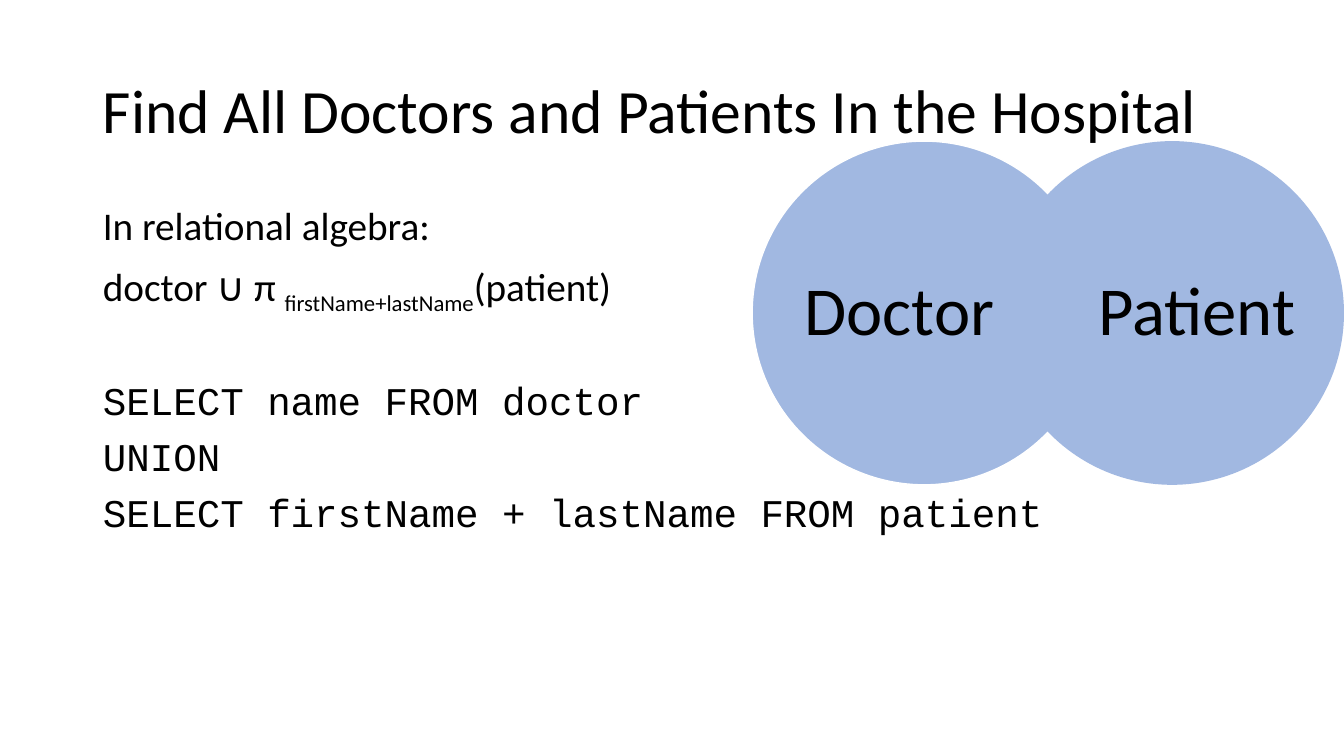
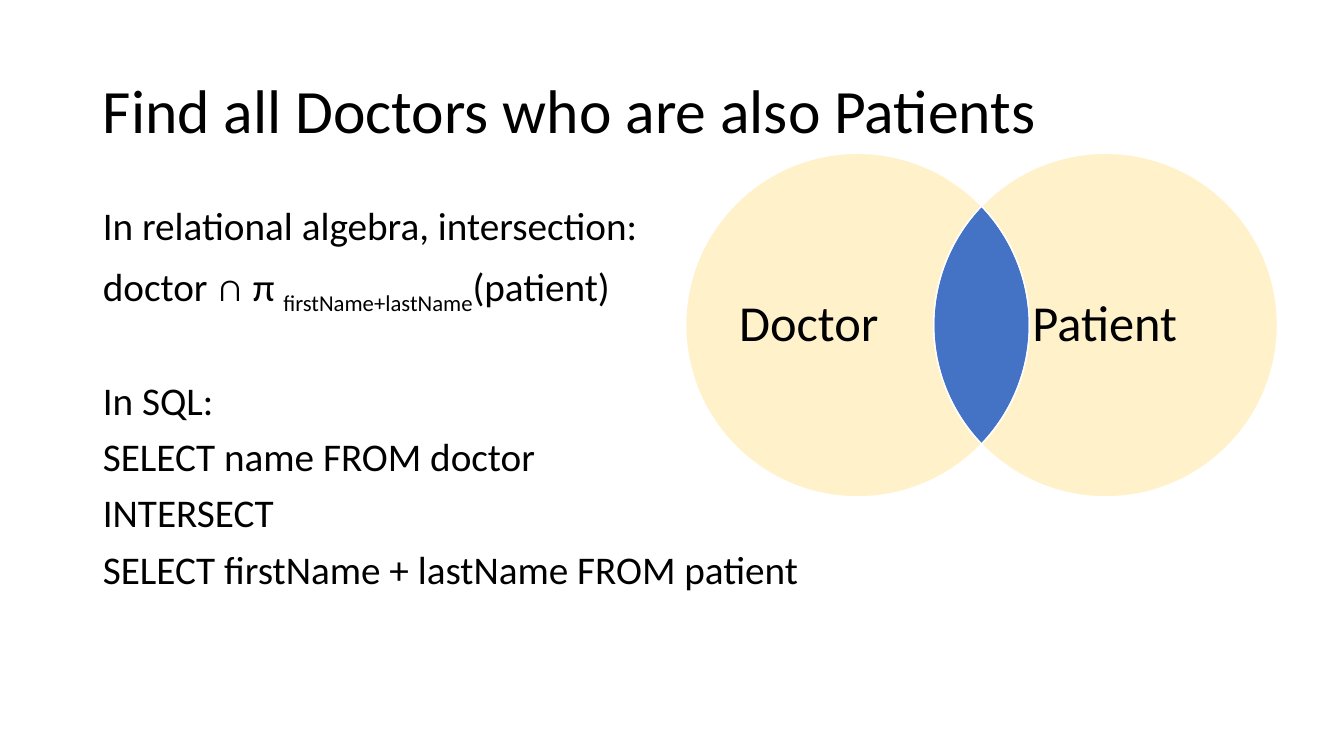
import math

from pptx import Presentation
from pptx.dml.color import RGBColor
from pptx.enum.shapes import MSO_SHAPE
from pptx.enum.text import MSO_ANCHOR, MSO_AUTO_SIZE, PP_ALIGN
from pptx.oxml.ns import qn
from pptx.util import Inches, Pt
from lxml import etree

OVAL = MSO_SHAPE.OVAL
MIDDLE, TOP = MSO_ANCHOR.MIDDLE, MSO_ANCHOR.TOP
LEFT, CENTER = PP_ALIGN.LEFT, PP_ALIGN.CENTER
NO_FIT = MSO_AUTO_SIZE.NONE

COLORS = {
    "text": "000000",
    "outline": "FFFFFF",
    "union": "4472C4",
    "union_front": "A1B8E1",
    "overlap": "4472C4",
    "crescent": "FFE699",
}
SANS, MONO = "Calibri", "Courier New"
LINE_SPACING, PARAGRAPH_GAP, SECTION_GAP = 0.9, 10, 50
TITLE_SIZE, BODY_SIZE = 44, 28
TITLE_BOX = (0.92, 0.4, 11.5, 1.45)
BODY_BOX = (0.92, 2, 11.5, 4.76)

RADIUS, CENTER_GAP = 1.705, 2.46
SETS = ("Doctor", "Patient")
LABEL_LEFT, LABEL_TOP, LABEL_RIGHT = 0.48, 0.4, 0.97

UNION = {
    "title": "Find All Doctors and Patients In the Hospital",
    "algebra": ("In relational algebra:", ("doctor ∪ π ", "firstName+lastName", "(patient)")),
    "query": ("SELECT name FROM doctor", "UNION", "SELECT firstName + lastName FROM patient"),
    "query_font": MONO,
}
INTERSECTION = {
    "title": "Find all Doctors who are also Patients",
    "algebra": (
        "In relational algebra, intersection:",
        ("doctor ∩ π ", "firstName+lastName", "(patient)"),
    ),
    "query": (
        "In SQL:",
        "SELECT name FROM doctor",
        "INTERSECT",
        "SELECT firstName + lastName FROM patient",
    ),
    "query_font": SANS,
}


def rgb(name):
    return RGBColor.from_string(COLORS[name])


def place(shape, box):
    shape.left, shape.top, shape.width, shape.height = map(Inches, box)


def format_paragraph(paragraph, size, align=LEFT, font=SANS, before=0):
    paragraph.alignment = align
    paragraph.line_spacing = LINE_SPACING
    paragraph.space_before = Pt(before)
    paragraph.font.name = font
    paragraph.font.size = Pt(size)
    paragraph.font.color.rgb = rgb("text")


def remove_bullet(paragraph):
    properties = paragraph._p.get_or_add_pPr()
    properties.set("marL", "0")
    properties.set("indent", "0")
    bullet = etree.Element(qn("a:buNone"))
    properties.find(qn("a:defRPr")).addprevious(bullet)


def add_formula(paragraph, parts):
    operands, subscript, relation = parts
    paragraph.add_run().text = operands
    projection = paragraph.add_run()
    projection.text = subscript
    projection._r.get_or_add_rPr().set("baseline", "-25000")
    paragraph.add_run().text = relation


def add_text_slide(prs, content):
    slide = prs.slides.add_slide(prs.slide_layouts[1])
    title, body = slide.shapes.title, slide.placeholders[1]
    for holder, box, anchor in ((title, TITLE_BOX, MIDDLE), (body, BODY_BOX, TOP)):
        place(holder, box)
        holder.text_frame.auto_size = NO_FIT
        holder.text_frame.vertical_anchor = anchor
    title.text_frame.text = content["title"]
    format_paragraph(title.text_frame.paragraphs[0], TITLE_SIZE)

    heading, formula = content["algebra"]
    frame = body.text_frame
    frame.text = heading
    add_formula(frame.add_paragraph(), formula)
    for statement in content["query"]:
        frame.add_paragraph().text = statement
    for index, paragraph in enumerate(frame.paragraphs):
        font = content["query_font"] if index > 1 else SANS
        before = SECTION_GAP if index == 2 else PARAGRAPH_GAP
        format_paragraph(paragraph, BODY_SIZE, font=font, before=before)
        remove_bullet(paragraph)
    return slide


def paint(shape, color, opacity=100, outlined=True):
    shape.shadow.inherit = False
    shape.fill.solid()
    shape.fill.fore_color.rgb = rgb(color)
    if opacity < 100:
        value = shape._element.spPr.find(qn("a:solidFill"))[0]
        etree.SubElement(value, qn("a:alpha"), val=str(opacity * 1000))
    if outlined:
        shape.line.color.rgb = rgb("outline")
        shape.line.width = Pt(1)
    else:
        shape.line.fill.background()


def write_label(shape, text, size, insets=(0, 0, 0, 0)):
    frame = shape.text_frame
    frame.word_wrap = True
    frame.vertical_anchor = MIDDLE
    frame.margin_left, frame.margin_top, frame.margin_right, frame.margin_bottom = map(Inches, insets)
    frame.text = text
    format_paragraph(frame.paragraphs[0], size, CENTER)


def add_union_diagram(slide, left, top):
    diameter = 2 * RADIUS
    styles = (("union", 50, True), ("union_front", 100, False))
    for index, (name, style) in enumerate(zip(SETS, styles)):
        x = left + index * CENTER_GAP
        circle = slide.shapes.add_shape(OVAL, *map(Inches, (x, top, diameter, diameter)))
        paint(circle, *style)
        label_x = x + (LABEL_LEFT, LABEL_RIGHT)[index]
        label_width = diameter - LABEL_LEFT - LABEL_RIGHT
        label_box = (label_x, top + LABEL_TOP, label_width, diameter - 2 * LABEL_TOP)
        write_label(slide.shapes.add_textbox(*map(Inches, label_box)), name, 49)


def arc(center, angles):
    curves = []
    for start, end in zip(angles, angles[1:]):
        reach = 4 / 3 * math.tan((end - start) / 4)
        offsets = (
            (math.cos(start), math.sin(start)),
            (math.cos(start) - reach * math.sin(start), math.sin(start) + reach * math.cos(start)),
            (math.cos(end) + reach * math.sin(end), math.sin(end) - reach * math.cos(end)),
            (math.cos(end), math.sin(end)),
        )
        curves.append([
            (Inches(center[0] + RADIUS * x), Inches(center[1] + RADIUS * y)) for x, y in offsets
        ])
    return curves


def add_region(slide, curves):
    builder = slide.shapes.build_freeform(*curves[0][0])
    builder.add_line_segments([curve[-1] for curve in curves], close=True)
    region = builder.convert_to_shape()
    segments = list(region._element.iter(qn("a:lnTo")))
    for segment, curve in zip(segments, curves):
        bezier = etree.Element(qn("a:cubicBezTo"))
        for x, y in curve[1:]:
            etree.SubElement(bezier, qn("a:pt"), x=str(x - region.left), y=str(y - region.top))
        segment.getparent().replace(segment, bezier)
    return region


def add_intersection_diagram(slide, left, top):
    doctor = (left + RADIUS, top + RADIUS)
    patient = (doctor[0] + CENTER_GAP, doctor[1])
    half = math.acos(CENTER_GAP / 2 / RADIUS)
    quarter, straight, full = math.pi / 2, math.pi, 2 * math.pi
    doctor_edge = (-half, 0, half)
    patient_edge = (straight - half, straight, straight + half)
    doctor_outside = (half, quarter, straight, 3 * quarter, full - half)
    patient_outside = tuple(angle + straight for angle in doctor_outside)

    overlap = arc(doctor, doctor_edge) + arc(patient, patient_edge)
    paint(add_region(slide, overlap), "overlap")
    crescents = (
        arc(doctor, doctor_outside) + arc(patient, patient_edge[::-1]),
        arc(patient, patient_outside) + arc(doctor, doctor_edge[::-1]),
    )
    insets = (LABEL_LEFT, LABEL_TOP, LABEL_RIGHT, LABEL_TOP)
    for name, outline in zip(SETS, crescents):
        crescent = add_region(slide, outline)
        paint(crescent, "crescent", 50)
        write_label(crescent, name, 36, insets)


def main():
    prs = Presentation()
    prs.slide_width, prs.slide_height = Inches(13.33), Inches(7.5)
    add_union_diagram(add_text_slide(prs, UNION), 7.46, 1.4)
    add_intersection_diagram(add_text_slide(prs, INTERSECTION), 6.8, 1.52)
    prs.save("out.pptx")


if __name__ == "__main__":
    main()
